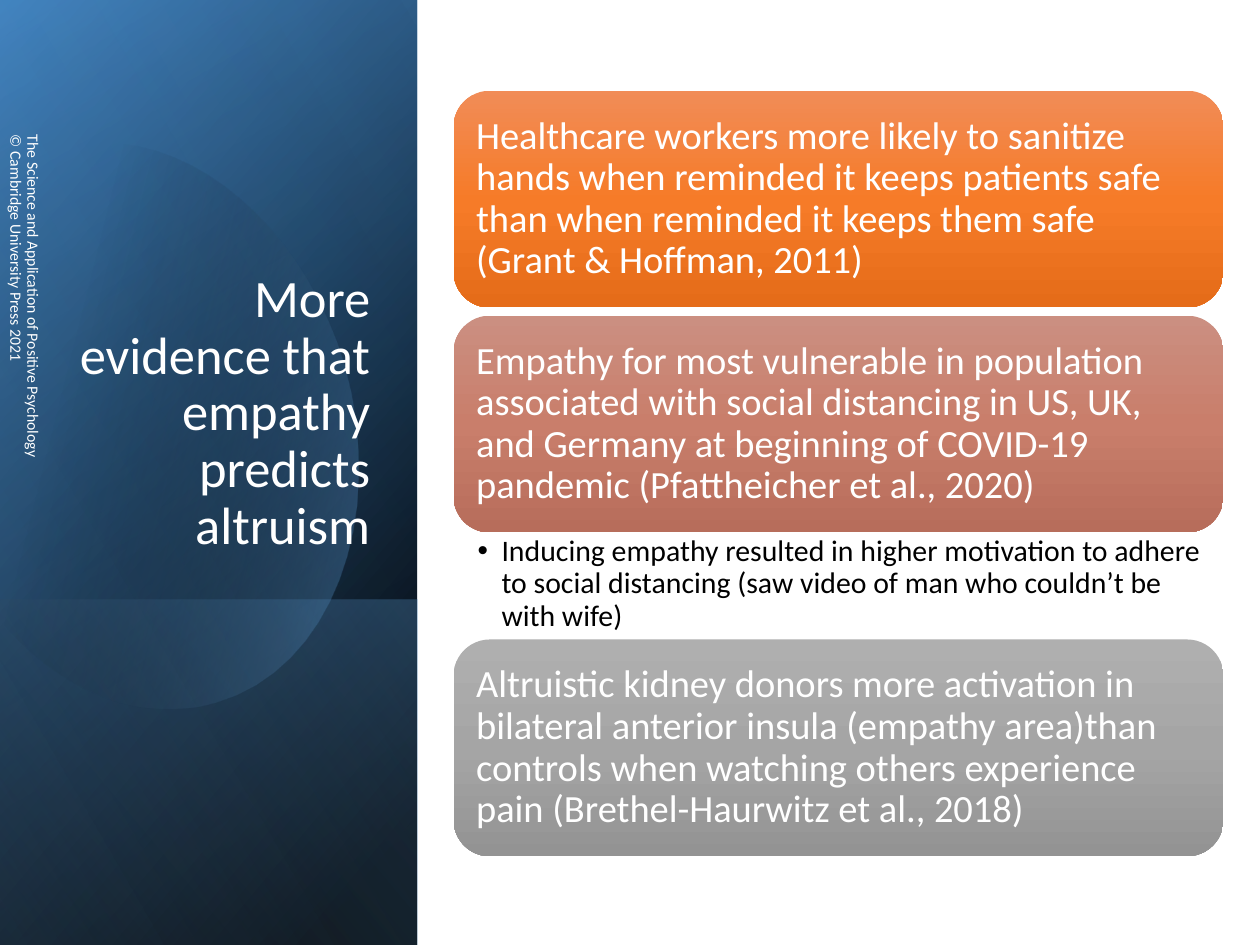
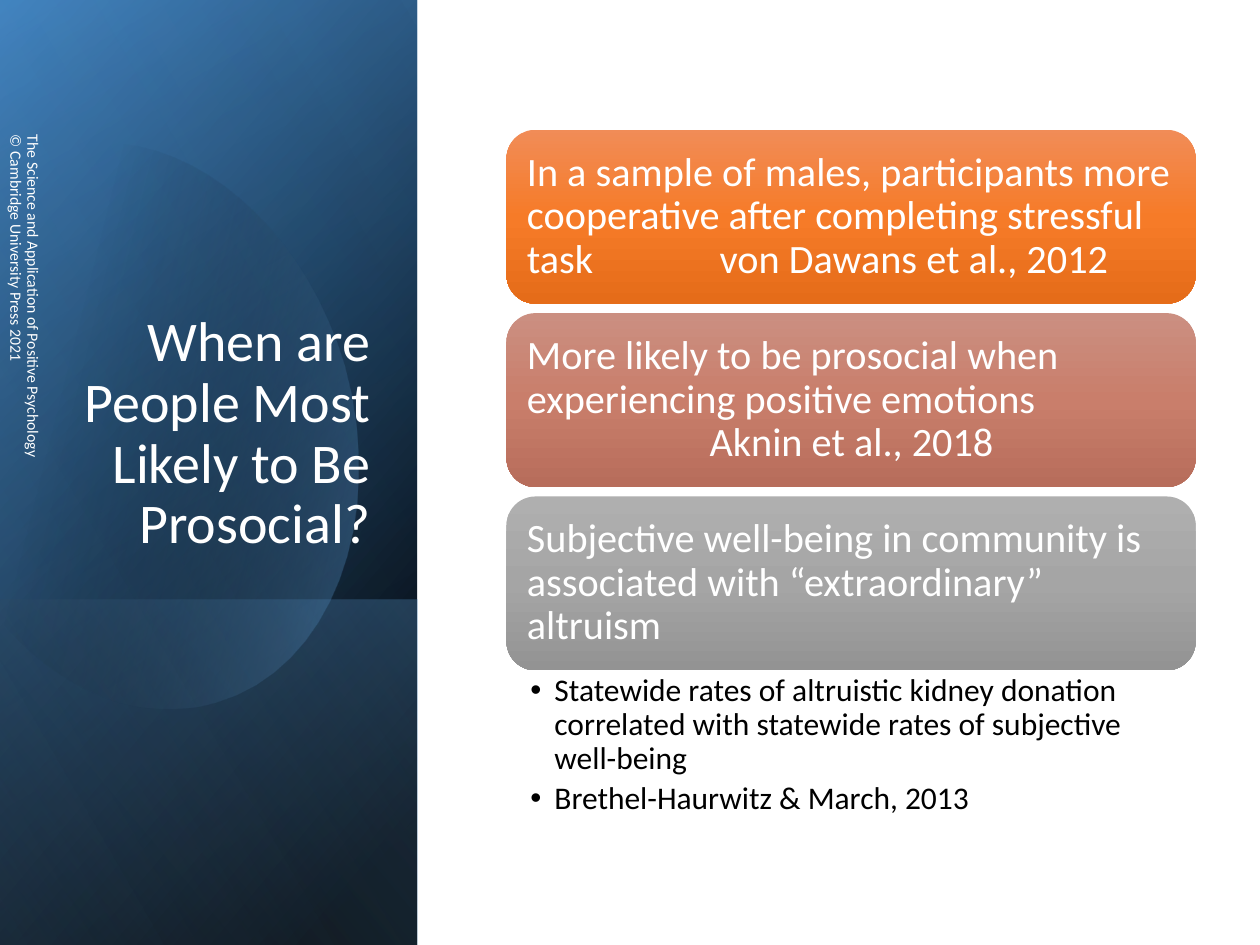
from lxml.etree import SubElement
from pptx import Presentation
from pptx.dml.color import RGBColor
from pptx.enum.shapes import MSO_SHAPE
from pptx.enum.text import MSO_ANCHOR, MSO_AUTO_SIZE, PP_ALIGN
from pptx.oxml.ns import qn
from pptx.util import Emu, Inches, Pt

CELL = Inches(0.1)
COLS, ROWS = 100, 75
PANEL = 33.1
FONT = "Calibri"

WHITE = RGBColor(0xFF, 0xFF, 0xFF)
BLACK = RGBColor(0x00, 0x00, 0x00)
NAVY = RGBColor(0x2E, 0x75, 0xB6)
BLUE = RGBColor(0x5B, 0x9B, 0xD5)
PALE = RGBColor(0x9D, 0xC3, 0xE6)
ORANGE = (RGBColor(0xF1, 0x8C, 0x57), RGBColor(0xF6, 0x7B, 0x28), RGBColor(0xE5, 0x6C, 0x19))
ROSE = (RGBColor(0xCB, 0x8F, 0x81), RGBColor(0xC9, 0x7E, 0x6B), RGBColor(0xB7, 0x6D, 0x5B))
GREY = (RGBColor(0xAF, 0xAF, 0xAF), RGBColor(0xA5, 0xA5, 0xA5), RGBColor(0x93, 0x93, 0x93))
TONES = (ORANGE, ROSE, GREY)

BASE = (50, [(8, BLACK, 100), (100, NAVY, 100)])
GLOW = (30, [(0, BLACK, 0), (99, BLUE, 46)])
FOOT = (130, [(2, BLUE, 29), (100, BLACK, 30)])
OVAL = (14, [(29, BLACK, 0), (100, BLUE, 43)])
SHEEN = (120, [(0, BLACK, 0), (99, PALE, 11)])

OVAL_START = (9.6, 11.4)
OVAL_CURVES = [
    ((17.1, 12.2), (24.4, 19.2), (27.3, 29)),
    ((30.7, 41.2), (26.2, 53.1), (17.1, 55.7)),
    ((11.4, 57.4), (5.3, 55), (0.7, 50)),
    ((-0.3, 48.8), (-2.5, 16.6), (-1.5, 15.4)),
    ((0.2, 13.7), (2.2, 12.5), (4.5, 11.8)),
    ((6.2, 11.3), (7.9, 11.2), (9.6, 11.4)),
]
STRAIGHT = 3

CREDIT = ("The Science and Application of Positive Psychology\v"
          "© Cambridge University Press 2021")


def grid(*cells):
    return [Emu(round(cell * CELL)) for cell in cells]


def shade(shape, angle, stops):
    shape.shadow.inherit = False
    shape.line.fill.background()
    shape.fill.background()
    props = shape.element.spPr
    fill = props.makeelement(qn("a:gradFill"), {"rotWithShape": "1"})
    marks = SubElement(fill, qn("a:gsLst"))
    for place, tint, alpha in stops:
        mark = SubElement(marks, qn("a:gs"), pos=str(place * 1000))
        color = SubElement(mark, qn("a:srgbClr"), val=str(tint))
        if alpha < 100:
            SubElement(color, qn("a:alpha"), val=str(alpha * 1000))
    SubElement(fill, qn("a:lin"), ang=str(angle * 60000), scaled="0")
    props.replace(props.find(qn("a:noFill")), fill)


def turned(left, top, wide, high):
    return grid(left + (wide - high) / 2, top + (high - wide) / 2, high, wide)


def band(slide, top, high, look):
    shape = slide.shapes.add_shape(MSO_SHAPE.RECTANGLE, *turned(0, top, PANEL, high))
    shape.rotation = 90
    shape.element.spPr.find(qn("a:xfrm")).set("flipH", "1")
    shade(shape, *look)


def bend(start, one, two, end, steps=16):
    for step in range(1, steps + 1):
        t = step / steps
        u = 1 - t
        yield tuple(u**3 * a + 3 * u * u * t * b + 3 * u * t * t * c + t**3 * d
                    for a, b, c, d in zip(start, one, two, end))


def oval(slide):
    points = [OVAL_START]
    for index, curve in enumerate(OVAL_CURVES):
        points += curve if index == STRAIGHT else bend(points[-1], *curve)
    spots = [grid(*point) for point in points]
    pen = slide.shapes.build_freeform(*spots[0])
    pen.add_line_segments(spots[1:], close=True)
    shade(pen.convert_to_shape(), *OVAL)


def frame(shape, anchor, pads):
    body = shape.text_frame
    body.word_wrap = True
    body.auto_size = MSO_AUTO_SIZE.NONE
    body.vertical_anchor = anchor
    body.margin_left, body.margin_top, body.margin_right, body.margin_bottom = grid(*pads)
    return body


def style(body, size, color, align=PP_ALIGN.LEFT, after=0):
    for para in body.paragraphs:
        para.alignment = align
        para.line_spacing = 0.9
        para.space_before = Pt(0)
        para.space_after = Pt(after)
        for run in para.runs:
            run.font.name = FONT
            run.font.size = Pt(size)
            run.font.color.rgb = color


def credit(slide):
    box = slide.shapes.add_textbox(*turned(-0.1, 6.8, 4, 33.8))
    box.rotation = 90
    body = frame(box, MSO_ANCHOR.MIDDLE, (3.9, 0.5, 1, 0.5))
    body.text = CREDIT
    style(body, 9, WHITE)


def head(slide, text, size):
    title = slide.shapes.title
    title.left, title.top, title.width, title.height = grid(4.8, 18.4, 25.6, 26.2)
    body = frame(title, MSO_ANCHOR.BOTTOM, (1, 0.5, 1, 0.5))
    body.text = text
    style(body, size, WHITE, PP_ALIGN.RIGHT)
    slide.shapes.element.append(title.element)


def card(slide, box, text, size, tone, tab):
    shape = slide.shapes.add_shape(MSO_SHAPE.ROUNDED_RECTANGLE, *grid(*box))
    shade(shape, 90, [(50 * i, tint, 100) for i, tint in enumerate(tone)])
    body = frame(shape, MSO_ANCHOR.MIDDLE, (0.95,) * 4)
    body.text = text
    if tab:
        props = body.paragraphs[0]._p.get_or_add_pPr()
        stops = SubElement(props, qn("a:tabLst"))
        SubElement(stops, qn("a:tab"), pos=str(grid(tab)[0]), algn="l")
    style(body, size, WHITE)


def notes(slide, box, text, size):
    shape = slide.shapes.add_textbox(*grid(*box))
    body = frame(shape, MSO_ANCHOR.TOP, (1.9, 0.3, 1.7, 0.3))
    body.text = text
    indent = grid(1.9)[0]
    for para in body.paragraphs:
        props = para._p.get_or_add_pPr()
        props.set("marL", str(indent))
        props.set("indent", str(-indent))
        SubElement(props, qn("a:buFont"), typeface="Arial")
        SubElement(props, qn("a:buChar"), char="•")
    style(body, size, BLACK, after=3.5)


def stack(slide, left, top, wide, high, sizes, items):
    for tone, (text, tab, points, room) in zip(TONES, items):
        card(slide, (left, top, wide, high), text, sizes[0], tone, tab)
        top += high
        if points:
            notes(slide, (left, top, wide, room), points, sizes[1])
        top += room


def page(deck, title, size):
    slide = deck.slides.add_slide(deck.slide_layouts[5])
    band(slide, 0, ROWS, BASE)
    band(slide, 0, ROWS, GLOW)
    band(slide, 47.6, 27.4, FOOT)
    oval(slide)
    band(slide, 0, ROWS, SHEEN)
    head(slide, title, size)
    credit(slide)
    return slide


def main():
    deck = Presentation()
    deck.slide_width, deck.slide_height = grid(COLS, ROWS)

    slide = page(deck, "More evidence that empathy predicts altruism", 30)
    stack(slide, 36, 7.2, 61.1, 17.2, (22, 17), [
        ("Healthcare workers more likely to sanitize hands when reminded it keeps "
         "patients safe than when reminded it keeps them safe (Grant & Hoffman, 2011)",
         None, None, 0.65),
        ("Empathy for most vulnerable in population associated with social distancing "
         "in US, UK, and Germany at beginning of COVID-19 pandemic "
         "(Pfattheicher et al., 2020)",
         None,
         "Inducing empathy resulted in higher motivation to adhere to social "
         "distancing (saw video of man who couldn’t be with wife)", 8.5),
        ("Altruistic kidney donors more activation in bilateral anterior insula "
         "(empathy area)than controls when watching others experience pain "
         "(Brethel-Haurwitz et al., 2018)",
         None, None, 0),
    ])

    slide = page(deck, "When are People Most Likely to Be Prosocial?", 32)
    stack(slide, 40.2, 10.3, 54.7, 13.8, (23, 18), [
        ("In a sample of males, participants more cooperative after completing "
         "stressful task\tvon Dawans et al., 2012", 15.3, None, 0.75),
        ("More likely to be prosocial when experiencing positive emotions"
         "\v\tAknin et al., 2018", 14.5, None, 0.75),
        ("Subjective well-being in community is associated with “extraordinary” altruism",
         None,
         "Statewide rates of altruistic kidney donation correlated with statewide "
         "rates of subjective well-being\nBrethel-Haurwitz & March, 2013", 12.5),
    ])

    deck.save("out.pptx")


if __name__ == "__main__":
    main()
